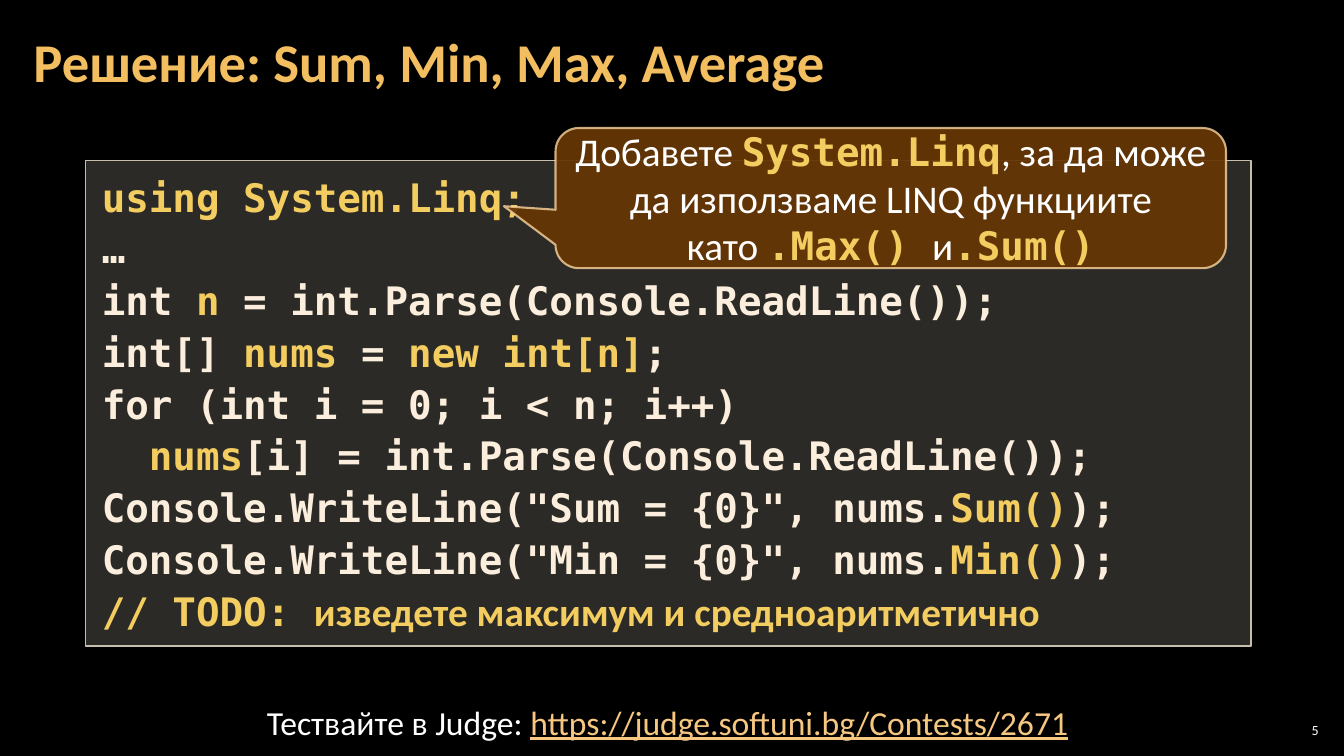
from pptx import Presentation
from pptx.dml.color import RGBColor
from pptx.enum.shapes import MSO_SHAPE
from pptx.enum.text import MSO_ANCHOR, PP_ALIGN
from pptx.oxml.ns import qn
from pptx.util import Inches, Pt
from lxml import etree

RECT = MSO_SHAPE.RECTANGLE
CALLOUT = MSO_SHAPE.ROUNDED_RECTANGULAR_CALLOUT
TOP, MIDDLE = MSO_ANCHOR.TOP, MSO_ANCHOR.MIDDLE
LEFT, CENTER, RIGHT = PP_ALIGN.LEFT, PP_ALIGN.CENTER, PP_ALIGN.RIGHT

SANS, MONO = "Calibri", "DejaVu Sans Mono"
COLORS = {
    "background": "000000", "title": "F3BE60", "white": "FFFFFF",
    "code": "FBEEDC", "accent": "F3CD60", "link": "F6C781",
    "code_fill": "D9D5C7", "code_line": "C7BFAC",
    "callout_fill": "663606", "callout_line": "F8D49E",
}

# Run formats: font, colour, bold, underline
STYLES = {
    "title": (SANS, "title", True, False),
    "plain": (SANS, "white", False, False),
    "link": (SANS, "link", False, True),
    "code": (MONO, "code", True, False),
    "accent": (MONO, "accent", True, False),
    "comment": (SANS, "accent", True, False),
}


def write_text(sp, paragraphs, size, align=LEFT, anchor=TOP,
               margins=(0.1, 0.05), spacing=None, wrap=True):
    """Fill a shape with paragraphs, each a list of (text, style) runs."""
    tf = sp.text_frame
    tf.word_wrap = wrap
    tf.vertical_anchor = anchor
    tf.margin_left = tf.margin_right = Inches(margins[0])
    tf.margin_top = tf.margin_bottom = Inches(margins[1])
    for i, runs in enumerate(paragraphs):
        p = tf.add_paragraph() if i else tf.paragraphs[0]
        p.alignment = align
        p.line_spacing = spacing
        for text, style in runs:
            font, color, bold, underline = STYLES[style]
            r = p.add_run()
            r.text = text
            r.font.name, r.font.size = font, Pt(size)
            r.font.bold, r.font.underline = bold, underline
            r.font.color.rgb = RGBColor.from_string(COLORS[color])


def add_panel(kind, box, fill, line, width, fill_alpha, line_alpha=100):
    """Add a filled, outlined shape; alphas are percentages of opacity."""
    sp = slide.shapes.add_shape(kind, *map(Inches, box))
    sp.shadow.inherit = False
    sp.fill.solid()
    sp.fill.fore_color.rgb = RGBColor.from_string(COLORS[fill])
    sp.line.color.rgb = RGBColor.from_string(COLORS[line])
    sp.line.width = Pt(width)
    fills = sp._element.spPr.iter(qn("a:solidFill"))
    for solid, alpha in zip(fills, (fill_alpha, line_alpha)):
        etree.SubElement(solid[0], qn("a:alpha"), val=str(alpha * 1000))
    return sp


prs = Presentation()
prs.slide_width, prs.slide_height = Inches(13.33), Inches(7.5)
slide = prs.slides.add_slide(prs.slide_layouts[6])
slide.background.fill.solid()
slide.background.fill.fore_color.rgb = RGBColor.from_string(COLORS["background"])

title = slide.shapes.add_textbox(*map(Inches, (0.21, 0.04, 12.91, 1.21)))
write_text(title, [[("Решение: Sum, Min, Max, Average", "title")]], 39,
           anchor=MIDDLE, margins=(0.12, 0.04), spacing=0.9)

code_lines = [
    [("using System.Linq;", "accent")],
    [("…", "code")],
    [("int ", "code"), ("n", "accent"),
     (" = int.Parse(Console.ReadLine());", "code")],
    [("int[] ", "code"), ("nums", "accent"), (" = ", "code"),
     ("new int[n]", "accent"), (";", "code")],
    [("for (int i = 0; i < n; i++)", "code")],
    [("  nums", "accent"), ("[i] = int.Parse(Console.ReadLine());", "code")],
]
for name in ("Sum", "Min"):
    code_lines.append([
        (f'Console.WriteLine("{name} = {{0}}", nums.', "code"),
        (f"{name}()", "accent"), (");", "code")])
code_lines.append([("// TODO: ", "accent"),
                   ("изведете максимум и средноаритметично", "comment")])
code = add_panel(RECT, (0.85, 1.59, 11.56, 4.82), "code_fill", "code_line", 1, 20)
write_text(code, code_lines, 28, margins=(0.16, 0.08), spacing=1.1)

callout = add_panel(CALLOUT, (5.51, 1.27, 6.65, 1.39),
                    "callout_fill", "callout_line", 1.5, 95, 80)
for i, value in enumerate((-0.577, 0.058, 0.167)):
    callout.adjustments[i] = value
write_text(callout, [[
    ("Добавете ", "plain"), ("System.Linq", "accent"),
    (", за да може да използваме LINQ функциите като ", "plain"),
    (".Max() ", "accent"), ("и", "plain"), (".Sum()", "accent"),
]], 28, align=CENTER, anchor=MIDDLE)

number = slide.shapes.add_textbox(*map(Inches, (12.65, 7.14, 0.47, 0.21)))
write_text(number, [[("5", "plain")]], 10, align=RIGHT, anchor=MIDDLE,
           margins=(0.04, 0.04))

judge = slide.shapes.add_textbox(*map(Inches, (2.55, 6.91, 8.23, 0.5)))
write_text(judge, [[("Тествайте в Judge: ", "plain"),
                    ("https://judge.softuni.bg/Contests/2671", "link")]],
           24, wrap=False)

prs.save("out.pptx")
